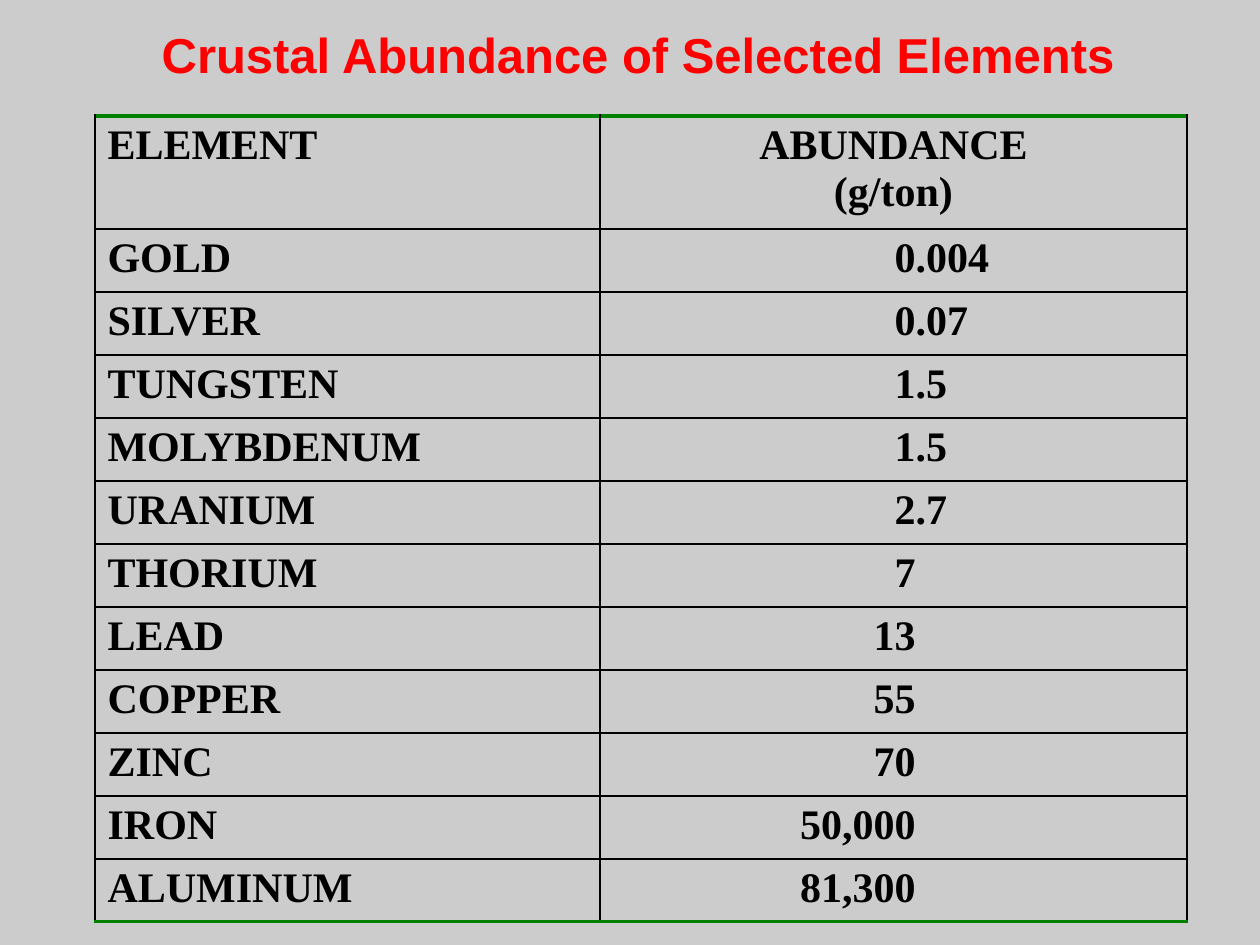
from lxml.etree import SubElement
from pptx import Presentation
from pptx.dml.color import RGBColor
from pptx.enum.text import MSO_ANCHOR, PP_ALIGN
from pptx.oxml.ns import qn
from pptx.util import Pt

EMU_PER_PX = 914400 / 126
RED = RGBColor(0xFF, 0x00, 0x00)
GREEN = RGBColor(0x00, 0x80, 0x00)
BLACK = RGBColor(0x00, 0x00, 0x00)
GRAY = RGBColor(0xCC, 0xCC, 0xCC)

THIN, MEDIUM, THICK = (BLACK, 0.75), (BLACK, 1), (GREEN, 2)
DIGIT_WIDTH = 21
COMMA_WIDTH = 10.5
UNITS_EDGE = 303  # right edge of the units digit, from the cell's text edge

HEADINGS = ("ELEMENT", "ABUNDANCE\n(g/ton)")
ABUNDANCES = [
    ("GOLD", "0.004"),
    ("SILVER", "0.07"),
    ("TUNGSTEN", "1.5"),
    ("MOLYBDENUM", "1.5"),
    ("URANIUM", "2.7"),
    ("THORIUM", "7"),
    ("LEAD", "13"),
    ("COPPER", "55"),
    ("ZINC", "70"),
    ("IRON", "50,000"),
    ("ALUMINUM", "81,300"),
]


def px(length):
    return round(length * EMU_PER_PX)


def write_text(text_frame, text, *, font="Times New Roman", size=24, color=BLACK,
               align=PP_ALIGN.LEFT, indent=0):
    """Write each line of text as one bold paragraph."""
    for index, line in enumerate(text.split("\n")):
        paragraph = text_frame.add_paragraph() if index else text_frame.paragraphs[0]
        paragraph.alignment = align
        properties = paragraph._p.get_or_add_pPr()
        properties.set("marL", str(px(indent)))
        properties.set("indent", "0")
        run = paragraph.add_run()
        run.text = line
        run.font.name = font
        run.font.size = Pt(size)
        run.font.bold = True
        run.font.color.rgb = color


def units_indent(value):
    """Indent that lines a number up on its units digit."""
    whole = value.split(".")[0]
    commas = whole.count(",")
    return UNITS_EDGE - (len(whole) - commas) * DIGIT_WIDTH - commas * COMMA_WIDTH


def set_borders(cell, top, bottom):
    properties = cell._tc.get_or_add_tcPr()
    for side, (color, width) in zip("LRTB", (THIN, THIN, top, bottom)):
        line = SubElement(properties, qn(f"a:ln{side}"), w=str(Pt(width)))
        fill = SubElement(line, qn("a:solidFill"))
        SubElement(fill, qn("a:srgbClr"), val=str(color))


class SlideBuilder:
    def __init__(self, presentation):
        self.slide = presentation.slides.add_slide(presentation.slide_layouts[5])

    def background(self, color):
        fill = self.slide.background.fill
        fill.solid()
        fill.fore_color.rgb = color

    def title(self, text, left, top, width, height):
        shape = self.slide.shapes.title
        shape.left, shape.top = px(left), px(top)
        shape.width, shape.height = px(width), px(height)
        shape.text_frame.vertical_anchor = MSO_ANCHOR.MIDDLE
        write_text(shape.text_frame, text, font="Arial", size=28, color=RED,
                   align=PP_ALIGN.CENTER)

    def table(self, rows, left, top, column_widths, row_heights):
        """Draw rows of cells; the first row holds the headings."""
        table = self.slide.shapes.add_table(
            len(rows), len(column_widths), px(left), px(top),
            px(sum(column_widths)), px(sum(row_heights))).table
        table.first_row = table.horz_banding = False
        for column, width in zip(table.columns, column_widths):
            column.width = px(width)
        for row, height in zip(table.rows, row_heights):
            row.height = px(height)

        edges = [THICK, MEDIUM] + [THIN] * (len(rows) - 2) + [THICK]
        for row_index, values in enumerate(rows):
            for column_index, value in enumerate(values):
                cell = table.cell(row_index, column_index)
                set_borders(cell, edges[row_index], edges[row_index + 1])
                cell.fill.background()
                if column_index == 0:
                    write_text(cell.text_frame, value)
                elif row_index == 0:
                    write_text(cell.text_frame, value, align=PP_ALIGN.CENTER)
                else:
                    write_text(cell.text_frame, value, indent=units_indent(value))


def main():
    presentation = Presentation()
    presentation.slide_width, presentation.slide_height = px(1260), px(945)
    builder = SlideBuilder(presentation)
    builder.background(GRAY)
    builder.title("Crustal Abundance of Selected Elements", 95, 0, 1086, 108)
    builder.table([HEADINGS] + ABUNDANCES, 95, 116, (505, 587),
                  [113] + [63] * len(ABUNDANCES))
    presentation.save("out.pptx")


if __name__ == "__main__":
    main()
